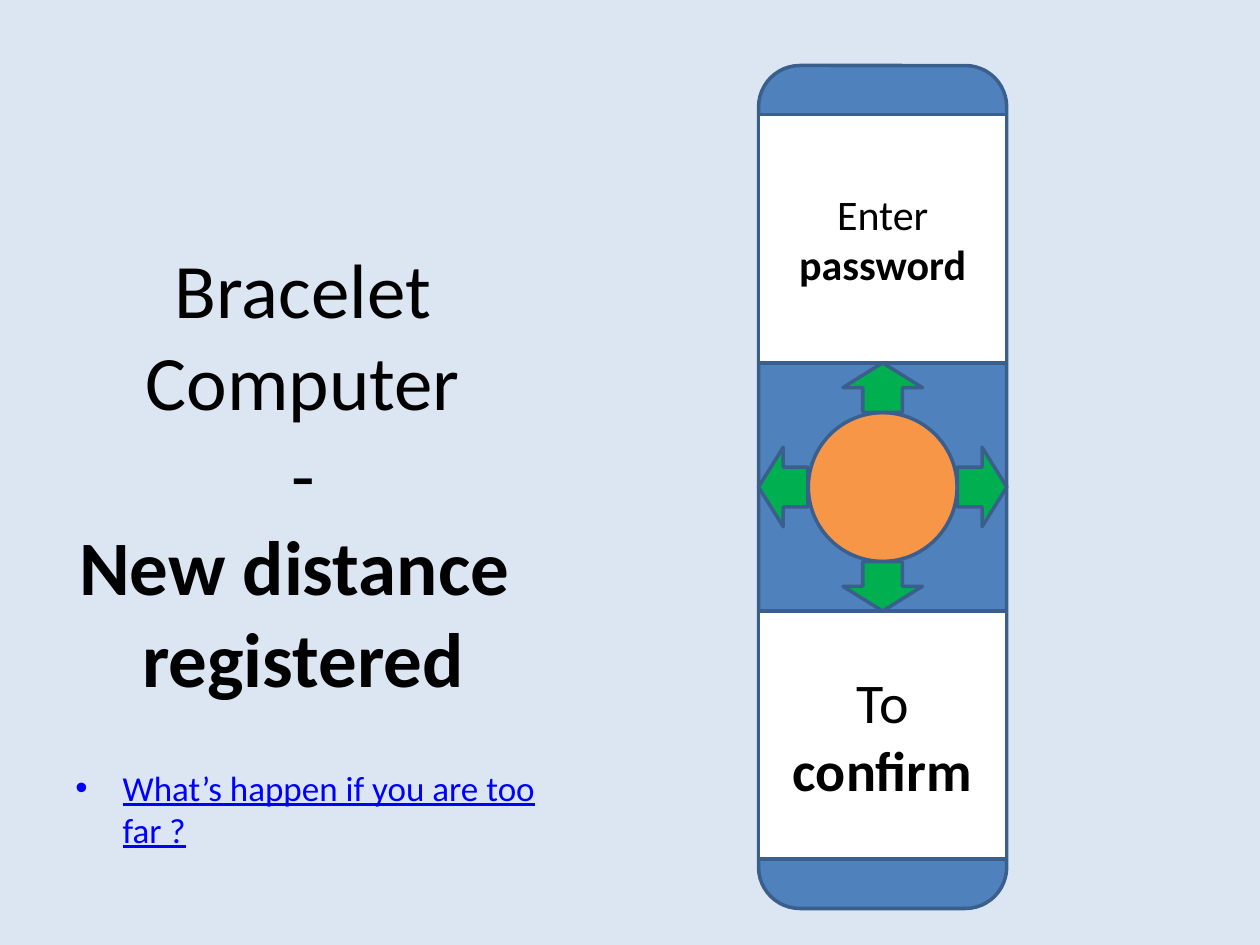
"""Build the bracelet computer slide with its password screens and arrow pad."""
from dataclasses import dataclass

from lxml.etree import SubElement
from pptx import Presentation
from pptx.dml.color import RGBColor
from pptx.enum.shapes import MSO_SHAPE as Shape
from pptx.enum.text import MSO_ANCHOR as Anchor, PP_ALIGN as Align
from pptx.oxml.ns import qn
from pptx.util import Pt

BACKGROUND = RGBColor(0xDC, 0xE6, 0xF2)
BLUE = RGBColor(0x4F, 0x81, 0xBD)
OUTLINE = RGBColor(0x3A, 0x5F, 0x8C)
ORANGE = RGBColor(0xF7, 0x96, 0x46)
GREEN = RGBColor(0x00, 0xB0, 0x50)
WHITE = RGBColor(0xFF, 0xFF, 0xFF)
BLACK = RGBColor(0x00, 0x00, 0x00)
LINK_BLUE = RGBColor(0x00, 0x00, 0xFF)

CENTER_X, CENTER_Y = 504.4, 278.3
SIDE = 141.8
BRACELET_HEIGHT = 481.7
BUTTON = 85
ARROW_LENGTH, ARROW_WIDTH = 28.3, 45.4
ARROW_REACH = 56.8


@dataclass(frozen=True)
class Span:
    text: str
    bold: bool = False


@dataclass(frozen=True)
class Arrow:
    kind: Shape
    dx: int
    dy: int


@dataclass(frozen=True)
class Screen:
    row: int
    size: int
    spans: tuple[Span, ...]


ARROWS = (
    Arrow(Shape.RIGHT_ARROW, 1, 0),
    Arrow(Shape.DOWN_ARROW, 0, 1),
    Arrow(Shape.UP_ARROW, 0, -1),
    Arrow(Shape.LEFT_ARROW, -1, 0),
)
SCREENS = (
    Screen(-1, 24, (Span("Enter "), Span("password", True))),
    Screen(1, 32, (Span("To "), Span("confirm", True))),
)
TITLE = (
    (Span("Bracelet Computer"), Span("\n"), Span("-"), Span("\n"),
     Span("New distance ", True)),
    (Span("registered", True),),
)


def add_spans(para, spans: tuple[Span, ...], size: int, color=BLACK, underline=None):
    """Write the spans into a paragraph with one shared format."""
    for span in spans:
        if span.text == "\n":
            para.add_line_break()
            continue
        run = para.add_run()
        run.text = span.text
        values = {"name": "Calibri", "size": Pt(size), "bold": span.bold, "underline": underline}
        for name, value in values.items():
            setattr(run.font, name, value)
        run.font.color.rgb = color


def add_centered(page, kind: Shape, x: float, y: float, width: float, height: float, fill):
    """Draw an outlined shape around its middle point."""
    shape = page.shapes.add_shape(
        kind, Pt(x - width / 2), Pt(y - height / 2), Pt(width), Pt(height))
    shape.shadow.inherit = False
    shape.fill.solid()
    shape.fill.fore_color.rgb = fill
    shape.line.color.rgb = OUTLINE
    shape.line.width = Pt(2)
    return shape


def add_arrow(page, arrow: Arrow):
    """Draw one arrow beside the round button."""
    size = (ARROW_LENGTH, ARROW_WIDTH) if arrow.dx else (ARROW_WIDTH, ARROW_LENGTH)
    add_centered(page, arrow.kind, CENTER_X + arrow.dx * ARROW_REACH,
                 CENTER_Y + arrow.dy * ARROW_REACH, *size, GREEN)


def add_screen(page, screen: Screen):
    """Draw one white screen with its message."""
    box = add_centered(page, Shape.RECTANGLE, CENTER_X, CENTER_Y + screen.row * SIDE,
                       SIDE, SIDE, WHITE)
    box.text_frame.word_wrap = True
    box.text_frame.vertical_anchor = Anchor.MIDDLE
    para = box.text_frame.paragraphs[0]
    para.alignment = Align.CENTER
    add_spans(para, screen.spans, screen.size)


def add_title(page):
    """Write the large centred title on the left."""
    frame = page.shapes.add_textbox(Pt(25.2), Pt(0), Pt(296), Pt(540)).text_frame
    frame.word_wrap = True
    frame.vertical_anchor = Anchor.MIDDLE
    for index, spans in enumerate(TITLE):
        para = frame.add_paragraph() if index else frame.paragraphs[0]
        para.alignment = Align.CENTER
        add_spans(para, spans, 44)


def add_question(page):
    """Write the bulleted question under the title."""
    frame = page.shapes.add_textbox(Pt(36), Pt(434.2), Pt(296), Pt(48.2)).text_frame
    frame.word_wrap = True
    para = frame.paragraphs[0]
    properties = para._p.get_or_add_pPr()
    for name, value in {"marL": Pt(27), "indent": -Pt(27)}.items():
        properties.set(name, str(value))
    SubElement(properties, qn("a:buFont"), typeface="Arial")
    SubElement(properties, qn("a:buChar"), char="•")
    add_spans(para, (Span("What’s happen if you are too far ?"),), 20, LINK_BLUE, True)


def main():
    """Build and save the deck."""
    deck = Presentation()
    deck.slide_width, deck.slide_height = Pt(720), Pt(540)
    page = deck.slides.add_slide(deck.slide_layouts[6])
    page.background.fill.solid()
    page.background.fill.fore_color.rgb = BACKGROUND

    add_title(page)
    add_centered(page, Shape.ROUNDED_RECTANGLE, CENTER_X, CENTER_Y, SIDE, BRACELET_HEIGHT, BLUE)
    add_centered(page, Shape.OVAL, CENTER_X, CENTER_Y, BUTTON, BUTTON, ORANGE)
    for arrow in ARROWS:
        add_arrow(page, arrow)
    for screen in SCREENS:
        add_screen(page, screen)
    add_question(page)
    deck.save("out.pptx")


if __name__ == "__main__":
    main()
